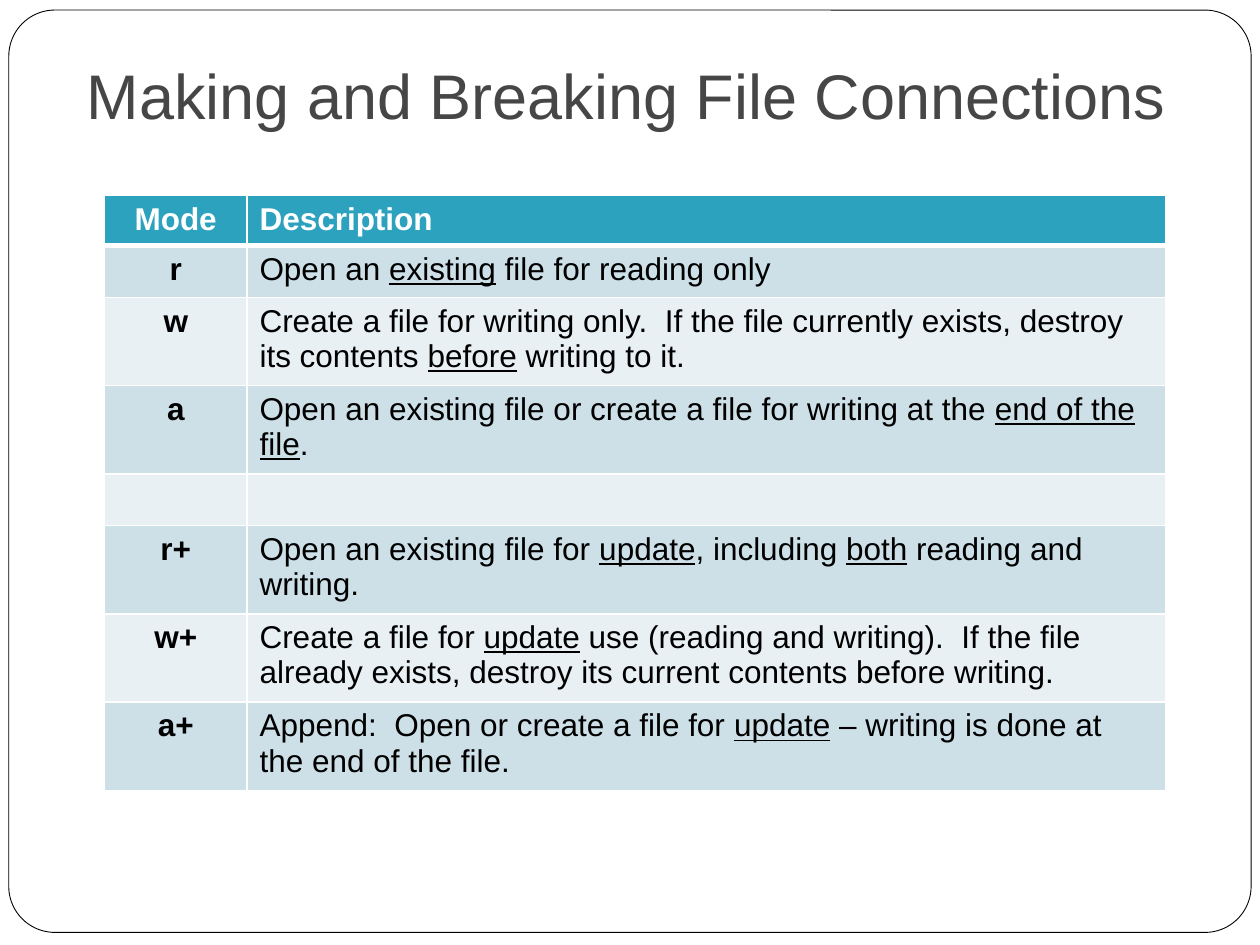
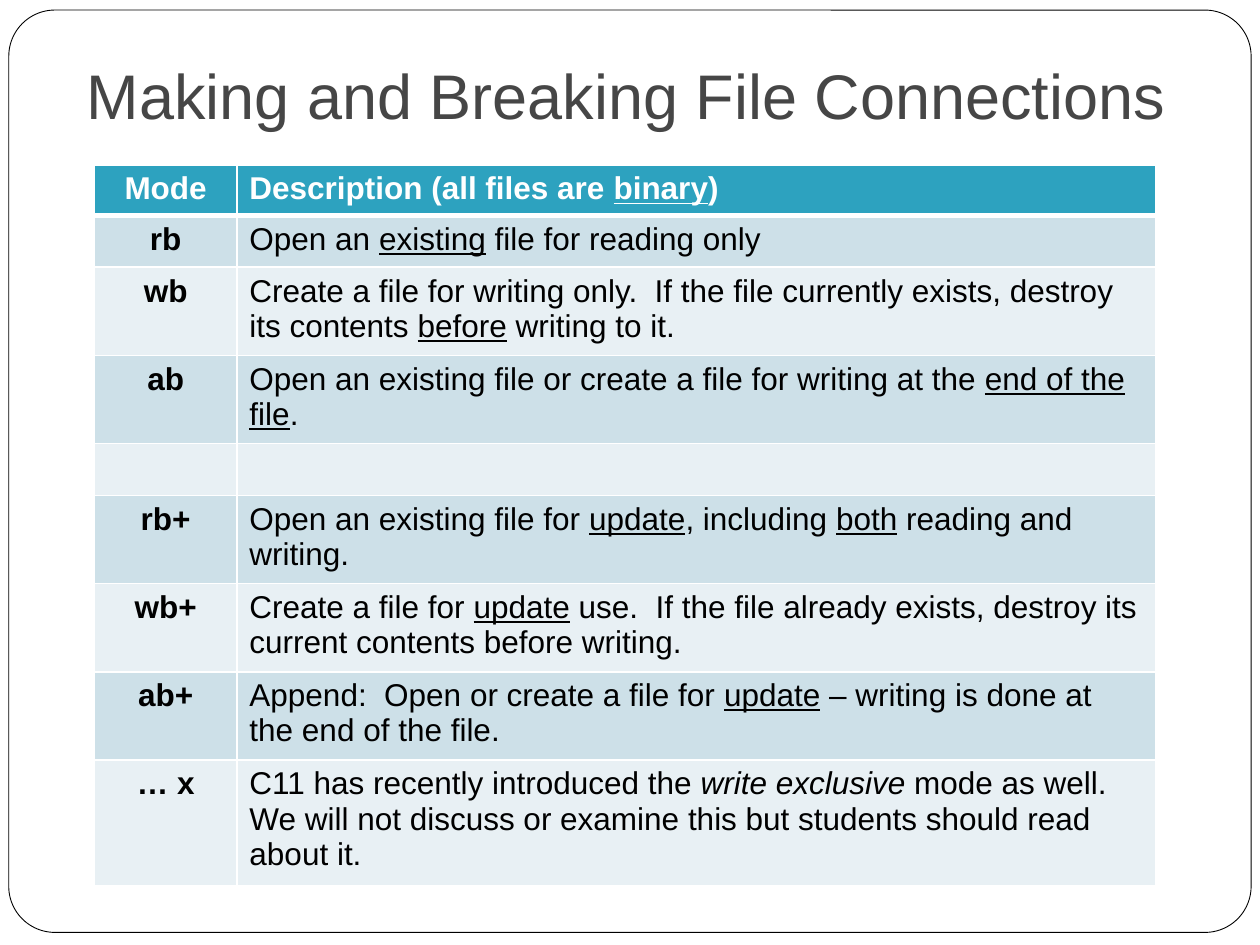
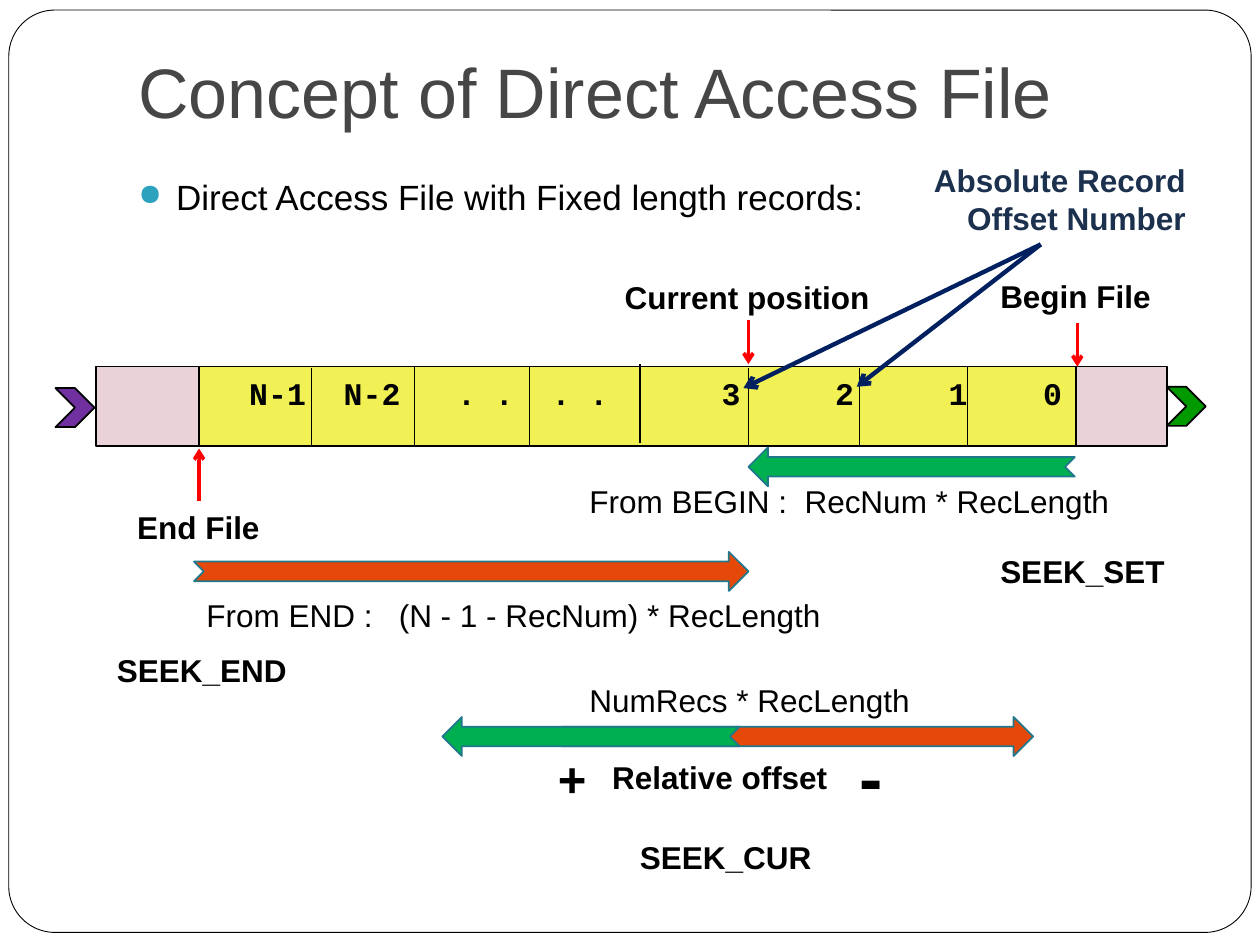
from lxml.etree import SubElement
from pptx import Presentation
from pptx.dml.color import RGBColor
from pptx.enum.shapes import MSO_CONNECTOR, MSO_SHAPE
from pptx.enum.text import MSO_ANCHOR, MSO_AUTO_SIZE, PP_ALIGN
from pptx.oxml.ns import qn
from pptx.util import Pt

PX = 9144  # 100 px to the inch

BLACK = RGBColor(0x00, 0x00, 0x00)
WHITE = RGBColor(0xFF, 0xFF, 0xFF)
TITLE_GRAY = RGBColor(0x46, 0x46, 0x46)
TEAL = RGBColor(0x2D, 0xA2, 0xBF)
DARK_TEAL = RGBColor(0x21, 0x78, 0x8D)
BAND_DARK = RGBColor(0xCD, 0xE0, 0xE8)
BAND_LIGHT = RGBColor(0xE8, 0xF0, 0xF4)
PINK = RGBColor(0xEA, 0xD3, 0xD8)
YELLOW = RGBColor(0xF1, 0xF1, 0x55)
GREEN = RGBColor(0x00, 0xB0, 0x50)
DARK_GREEN = RGBColor(0x00, 0x99, 0x00)
PURPLE = RGBColor(0x70, 0x30, 0xA0)
ORANGE = RGBColor(0xE5, 0x48, 0x09)
RED = RGBColor(0xFF, 0x00, 0x00)
NAVY = RGBColor(0x00, 0x20, 0x60)
SLATE = RGBColor(0x1C, 0x31, 0x4E)


def write(text_frame, text, size=18, color=BLACK, bold=False, font="Arial",
          align=PP_ALIGN.LEFT, emphasis="underline", wrap=True):
    """Fill the first paragraph; parts between bars get the emphasis."""
    text_frame.word_wrap = wrap
    if not wrap:
        text_frame.auto_size = MSO_AUTO_SIZE.SHAPE_TO_FIT_TEXT
    paragraph = text_frame.paragraphs[0]
    paragraph.alignment = align
    for index, part in enumerate(text.split("|")):
        run = paragraph.add_run()
        run.text = part
        run.font.name = font
        run.font.size = Pt(size)
        run.font.bold = bold
        run.font.color.rgb = color
        if index % 2:
            setattr(run.font, emphasis, True)
    return paragraph


def add_shape(slide, kind, box, fill, line, width=1):
    shape = slide.shapes.add_shape(kind, *[length * PX for length in box])
    shape.shadow.inherit = False
    shape.fill.solid()
    shape.fill.fore_color.rgb = fill
    shape.line.color.rgb = line
    shape.line.width = Pt(width)
    return shape


presentation = Presentation()
presentation.slide_width = 1000 * PX
presentation.slide_height = 750 * PX

# Slides with their shared frame and title
MODES_TITLE = "Making and Breaking File Connections"
titles = [
    (MODES_TITLE, 36, 59, 913),
    (MODES_TITLE, 36, 59, 913),
    ("Concept of Direct Access File", 40, 100, 850),
]
for title, size, left, width in titles:
    slide = presentation.slides.add_slide(presentation.slide_layouts[6])
    frame = add_shape(slide, MSO_SHAPE.ROUNDED_RECTANGLE, (7, 8, 986, 732), WHITE, BLACK, 0.5)
    frame.adjustments[0] = 0.05
    title_box = slide.shapes.add_textbox(left * PX, 30 * PX, width * PX, 85 * PX)
    title_box.text_frame.vertical_anchor = MSO_ANCHOR.BOTTOM
    title_box.text_frame.margin_bottom = 10 * PX
    write(title_box.text_frame, title, size=size, color=TITLE_GRAY)
text_slide, binary_slide, access_slide = presentation.slides

# Tables of file modes
READ = "Open an |existing| file for reading only"
WRITE = ("Create a file for writing only.  If the file currently exists, "
         "destroy its contents |before| writing to it.")
APPEND = "Open an existing file or create a file for writing at the |end of the file|."
READ_UPDATE = "Open an existing file for |update|, including |both| reading and writing."
WRITE_UPDATE = ("Create a file for |update| use{}.  If the file already exists, "
                "destroy its current contents before writing.")
APPEND_UPDATE = ("Append:  Open or create a file for |update| – "
                 "writing is done at the end of the file.")
EXCLUSIVE = ("C11 has recently introduced the |write exclusive| mode as well.  "
             "We will not discuss or examine this but students should read about it.")

text_modes = [
    ("Mode", "Description"),
    ("r", READ),
    ("w", WRITE),
    ("a", APPEND),
    ("", ""),
    ("r+", READ_UPDATE),
    ("w+", WRITE_UPDATE.format(" (reading and writing)")),
    ("a+", APPEND_UPDATE),
]
binary_modes = [
    ("Mode", "Description (all files are |binary|)"),
    ("rb", READ),
    ("wb", WRITE),
    ("ab", APPEND),
    ("", ""),
    ("rb+", READ_UPDATE),
    ("wb+", WRITE_UPDATE.format("")),
    ("ab+", APPEND_UPDATE),
    ("… x", EXCLUSIVE),
]
for slide, rows, left, top in [(text_slide, text_modes, 83, 155),
                               (binary_slide, binary_modes, 75, 131)]:
    table = slide.shapes.add_table(len(rows), 2, left * PX, top * PX,
                                   842 * PX, 41 * len(rows) * PX).table
    table.columns[0].width = 113 * PX
    table.columns[1].width = 729 * PX
    for row_index, row in enumerate(rows):
        is_header = row_index == 0
        table.rows[row_index].height = (37 if is_header else 41) * PX
        for column_index, text in enumerate(row):
            cell = table.cell(row_index, column_index)
            properties = cell._tc.get_or_add_tcPr()
            for side in "LRTB":
                thick = (is_header and side == "B") or (row_index == 1 and side == "T")
                border = SubElement(properties, qn(f"a:ln{side}"), w=str(Pt(3 if thick else 1)))
                fill = SubElement(border, qn("a:solidFill"))
                SubElement(fill, qn("a:srgbClr"), val=str(WHITE))
            cell.fill.solid()
            cell.fill.fore_color.rgb = (TEAL if is_header else
                                        BAND_DARK if row_index % 2 else BAND_LIGHT)
            if text:
                write(cell.text_frame, text,
                      color=WHITE if is_header else BLACK,
                      bold=is_header or column_index == 0,
                      align=PP_ALIGN.LEFT if column_index else PP_ALIGN.CENTER,
                      emphasis="italic" if text == EXCLUSIVE else "underline")

# Bullet above the file diagram
bullet_box = access_slide.shapes.add_textbox(100 * PX, 134 * PX, 850 * PX, 71 * PX)
bullet = write(bullet_box.text_frame, "Direct Access File with Fixed length records:", size=20)
properties = bullet._p.get_or_add_pPr()
properties.set("marL", str(30 * PX))
properties.set("indent", str(-30 * PX))
bullet_color = SubElement(properties, qn("a:buClr"))
SubElement(bullet_color, qn("a:srgbClr"), val=str(TEAL))
SubElement(properties, qn("a:buSzPct"), val="85000")
SubElement(properties, qn("a:buChar"), char="●")

# File strip and its end marks
for kind, box, fill in [
    (MSO_SHAPE.RECTANGLE, (76, 291, 850, 63), PINK),
    (MSO_SHAPE.RECTANGLE, (158, 291, 696, 63), YELLOW),
    (MSO_SHAPE.CHEVRON, (926, 307, 31, 31), DARK_GREEN),
    (MSO_SHAPE.CHEVRON, (44, 308, 31, 31), PURPLE),
]:
    add_shape(access_slide, kind, box, fill, BLACK)

# Offset arrows; the green ones point left
for left, top, width, fill in [
    (594, 355, 259, GREEN),
    (154, 438, 440, ORANGE),
    (446, 569, 374, ORANGE),
    (351, 569, 236, GREEN),
]:
    arrow = add_shape(access_slide, MSO_SHAPE.NOTCHED_RIGHT_ARROW,
                      (left, top, width, 31), fill, DARK_TEAL)
    arrow.rotation = 180 if fill == GREEN else 0

# Record dividers, position marks and pointers to the record numbers
dividers = [((x, top, x, top + 63), BLACK, 0.75)
            for x, top in [(247, 292), (329, 291), (420, 291), (508, 289),
                           (594, 292), (682, 292), (768, 291)]]
marks = [(ends, RED, 2) for ends in [(855, 256, 855, 291), (158, 398, 158, 356),
                                     (594, 254, 594, 289)]]
pointers = [((826, 194, 680, 307), NAVY, 2.5), ((826, 194, 590, 308), NAVY, 2.5)]
for ends, color, width in dividers + marks + pointers:
    connector = access_slide.shapes.add_connector(MSO_CONNECTOR.STRAIGHT,
                                                  *[length * PX for length in ends])
    connector.line.color.rgb = color
    connector.line.width = Pt(width)
    if color != BLACK:
        SubElement(connector.line._get_or_add_ln(), qn("a:tailEnd"), type="arrow")
    SubElement(connector._element.spPr, qn("a:effectLst"))

# Record numbers, each ending at a right tab stop
record_box = access_slide.shapes.add_textbox(158 * PX, 292 * PX, 696 * PX, 40 * PX)
records = write(record_box.text_frame, "\tN-1\tN-2\t. .\t. .\t3\t2\t1\t0",
                font="Courier New", bold=True)
tab_list = SubElement(records._p.get_or_add_pPr(), qn("a:tabLst"))
for stop in (75, 150, 240, 315, 420, 510, 600, 675):
    SubElement(tab_list, qn("a:tab"), pos=str(stop * PX), algn="r")

# Labels: text, box, size, bold
for text, box, size, bold in [
    ("From BEGIN :  RecNum * RecLength", (458, 378, 451, 40), 18, False),
    ("From END :   (N - 1 - RecNum) * RecLength", (154, 468, 538, 40), 18, False),
    ("NumRecs * RecLength", (458, 536, 277, 40), 18, False),
    ("Current position", (486, 216, 217, 40), 18, True),
    ("Begin File", (784, 215, 141, 40), 18, True),
    ("End File", (99, 398, 118, 40), 18, True),
    ("Relative offset", (476, 597, 193, 40), 18, True),
    ("+", (433, 589, 43, 57), 28, True),
    ("-", (672, 577, 39, 77), 40, True),
    ("SEEK_SET", (784, 433, 151, 40), 18, True),
    ("SEEK_END", (83, 512, 156, 40), 18, True),
    ("SEEK_CUR", (498, 660, 158, 40), 18, True),
]:
    label = access_slide.shapes.add_textbox(*[length * PX for length in box])
    write(label.text_frame, text, size=size, bold=bold, wrap=False)

offset_label = access_slide.shapes.add_textbox(701 * PX, 123 * PX, 250 * PX, 71 * PX)
write(offset_label.text_frame, "Absolute Record Offset Number",
      color=SLATE, bold=True, align=PP_ALIGN.RIGHT)

presentation.save("out.pptx")
